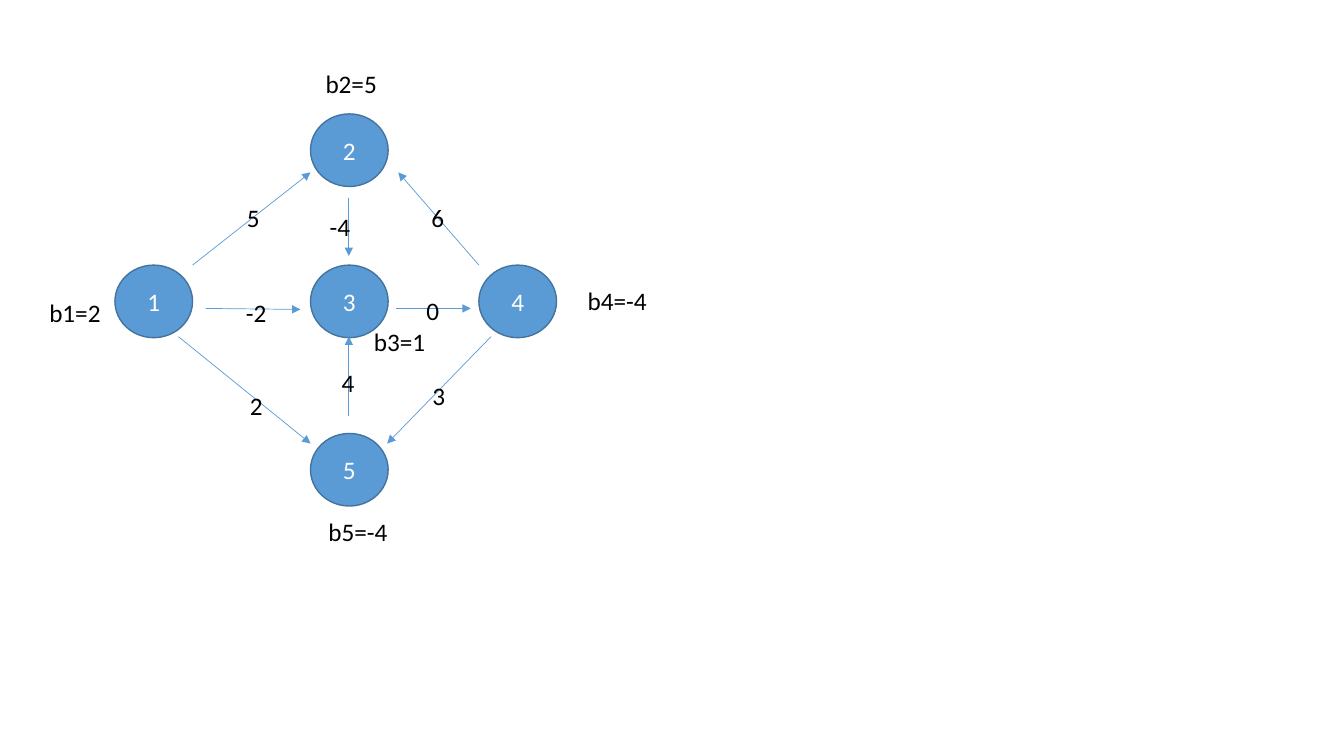
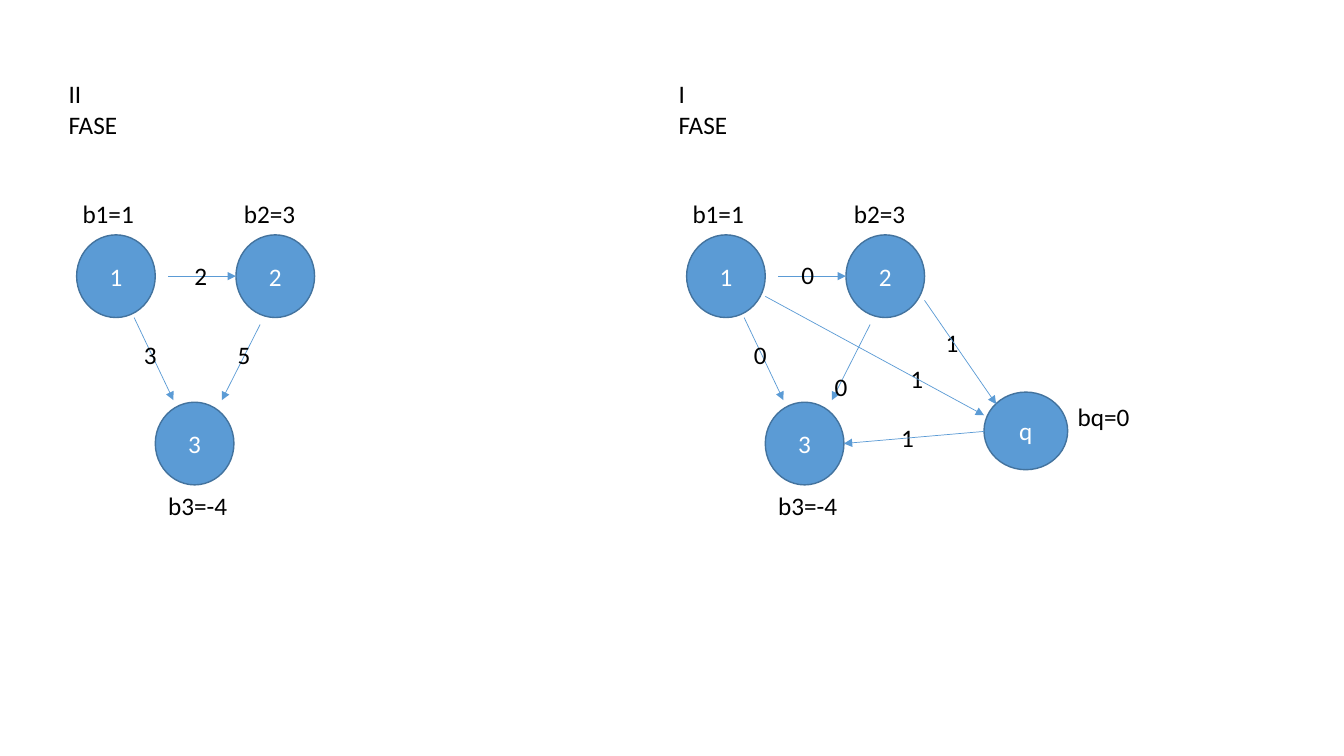
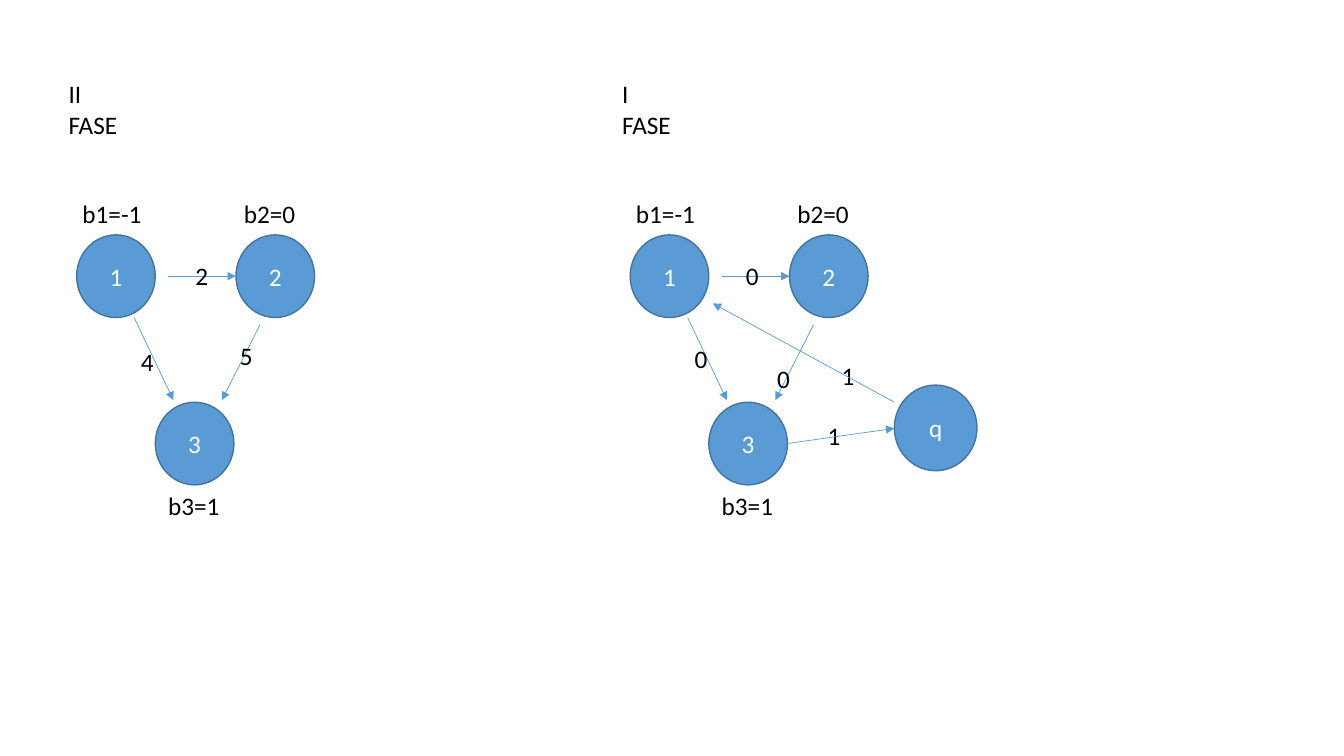
from dataclasses import dataclass

from lxml.etree import SubElement
from pptx import Presentation
from pptx.dml.color import RGBColor
from pptx.enum.shapes import MSO_CONNECTOR, MSO_SHAPE
from pptx.enum.text import MSO_ANCHOR, MSO_AUTO_SIZE, PP_ALIGN
from pptx.oxml.ns import qn
from pptx.util import Inches, Pt


@dataclass(frozen=True)
class Theme:
    """Colours, type, line widths and the grid step shared by all slides."""
    node: RGBColor = RGBColor(0x5B, 0x9B, 0xD5)
    rim: RGBColor = RGBColor(0x43, 0x73, 0x9E)
    ink: RGBColor = RGBColor(0, 0, 0)
    paper: RGBColor = RGBColor(0xFF, 0xFF, 0xFF)
    font: str = "Calibri"
    size: Pt = Pt(18)
    rim_width: Pt = Pt(1)
    arc_width: Pt = Pt(0.5)
    step: float = 0.1
    label_height: float = 4
    padding: float = 2
    glyph: float = 1.3


GLYPHS = {"-": 0.8, "I": 0.6, " ": 0.6, "F": 1.1, "S": 1.1, "E": 1.2}
COMPARISON, BLANK = 4, 6
HEADING_SLOTS = (1, 3)


class GraphDeck:
    """Draws graphs on the current slide, in columns and rows of the grid."""

    def __init__(self, theme):
        self.theme = theme
        self.deck = Presentation()
        self.deck.slide_width, self.deck.slide_height = Inches(13.33), Inches(7.5)
        self.slide = None

    def grid(self, *lengths):
        """Turn grid lengths into slide lengths."""
        return [Inches(length * self.theme.step) for length in lengths]

    def set_text(self, frame, text, color, align=PP_ALIGN.LEFT, anchor=MSO_ANCHOR.TOP):
        """Fill a text frame in the deck's type."""
        frame.text = text
        frame.vertical_anchor = anchor
        line = frame.paragraphs[0]
        line.alignment, line.space_before = align, Pt(0)
        font = line.runs[0].font
        font.name, font.size, font.bold = self.theme.font, self.theme.size, False
        font.color.rgb = color

    def label_box(self, text, left, top):
        """Return the box that fits a one-line label."""
        width = self.theme.padding + sum(GLYPHS.get(c, self.theme.glyph) for c in text)
        return self.grid(left, top, width, self.theme.label_height)

    def fit(self, holder, text):
        """Set a label that keeps to one line."""
        self.set_text(holder.text_frame, text, self.theme.ink)
        holder.text_frame.word_wrap = False
        holder.text_frame.auto_size = MSO_AUTO_SIZE.SHAPE_TO_FIT_TEXT

    def graph_slide(self):
        """Start a slide with a single graph."""
        self.slide = self.deck.slides.add_slide(self.deck.slide_layouts[BLANK])

    def phase_slide(self, headings):
        """Start a slide that compares two phases under their headings."""
        self.slide = self.deck.slides.add_slide(self.deck.slide_layouts[COMPARISON])
        slots = {slot.placeholder_format.idx: slot for slot in self.slide.placeholders}
        for idx, (text, left, top) in zip(HEADING_SLOTS, headings):
            heading = slots.pop(idx)
            heading.left, heading.top, heading.width, heading.height = \
                self.label_box(text, left, top)
            self.fit(heading, text)
        for unused in slots.values():
            unused.element.getparent().remove(unused.element)

    def label(self, text, left, top):
        """Add a balance or an arc weight."""
        self.fit(self.slide.shapes.add_textbox(*self.label_box(text, left, top)), text)

    def node(self, name, left, top, width, height):
        """Add a named node."""
        oval = self.slide.shapes.add_shape(
            MSO_SHAPE.OVAL, *self.grid(left, top, width, height))
        oval.shadow.inherit = False
        oval.fill.solid()
        oval.fill.fore_color.rgb = self.theme.node
        oval.line.color.rgb = self.theme.rim
        oval.line.width = self.theme.rim_width
        self.set_text(oval.text_frame, name, self.theme.paper,
                      PP_ALIGN.CENTER, MSO_ANCHOR.MIDDLE)

    def arc(self, *ends):
        """Add an arrow from one point to another."""
        arrow = self.slide.shapes.add_connector(MSO_CONNECTOR.STRAIGHT, *self.grid(*ends))
        arrow.line.color.rgb = self.theme.node
        arrow.line.width = self.theme.arc_width
        outline = arrow.element.spPr.find(qn("a:ln"))
        SubElement(outline, qn("a:tailEnd"), type="triangle")
        SubElement(arrow.element.spPr, qn("a:effectLst"))

    def graph(self, nodes, arcs, labels, size, shift=0):
        """Add nodes, arcs and labels, all moved right by the shift."""
        for name, left, top in nodes:
            self.node(name, left + shift, top, *size)
        for x1, y1, x2, y2 in arcs:
            self.arc(x1 + shift, y1, x2 + shift, y2)
        for text, left, top in labels:
            self.label(text, left + shift, top)

    def triangle(self, balances, weights, shift=0):
        """Add the three-node graph with its balances and arc weights."""
        spots = ((7.2, 19.2), (23.2, 19.2), (15.7, 48.2))
        labels = [(f"b{number}={balance}", *spot)
                  for number, (balance, spot) in enumerate(zip(balances, spots), 1)]
        self.graph(
            [("1", 7.6, 23.3), ("2", 23.4, 23.3), ("3", 15.4, 39.9)],
            [(16.7, 27.4, 23.4, 27.4), (13.3, 31.5, 17.2, 39.7), (25.8, 32.2, 22, 39.7)],
            labels, (7.8, 8.2), shift)
        for weight in weights:
            self.label(*weight)


def network(deck):
    """Draw the five-node network."""
    deck.graph_slide()
    deck.graph(
        [("1", 11.4, 26.3), ("5", 30.8, 43), ("3", 30.8, 26.3),
         ("2", 30.8, 11.3), ("4", 47.5, 26.3)],
        [(19.1, 26.3, 30.8, 17.1), (20.4, 30.6, 29.8, 30.7), (17.7, 33.4, 30.8, 44),
         (34.6, 19.6, 34.6, 25.4), (39.3, 30.6, 46.7, 30.6), (47.5, 26.3, 39.5, 17.1),
         (48.7, 33.4, 38.4, 44), (34.6, 41.3, 34.6, 33.4)],
        [("5", 23.5, 19.6), ("-2", 23.4, 29), ("2", 23.8, 38.2), ("-4", 31.7, 20.5),
         ("0", 41.3, 28.8), ("6", 41.8, 19.6), ("3", 41.9, 37.2), ("4", 32.9, 35.9),
         ("b1=2", 3.9, 29), ("b5=-4", 31.6, 50.7), ("b3=1", 36.1, 31.9),
         ("b2=5", 31.3, 6.3), ("b4=-4", 57.3, 27.8)],
        (7.7, 7.2))


def phases(deck, balances, shift, second, first, root, root_size, root_arcs):
    """Draw the second phase beside the first, which has the root q."""
    deck.phase_slide([("II FASE", 5.8, 7.3), ("I FASE", 5.8 + shift, 7.3)])
    deck.triangle(balances, second)
    deck.triangle(balances, first, shift)
    deck.graph([("q", *root)], root_arcs, [], root_size)


def main():
    """Build and save the deck."""
    deck = GraphDeck(Theme())
    network(deck)
    phases(deck, (1, 3, -4), 60.5,
           second=[("2", 18.3, 25.3), ("3", 13.3, 33.2), ("5", 22.6, 33.2)],
           first=[("0", 73.8, 33.2), ("0", 78.5, 25.2), ("0", 81.8, 36.3),
                  ("1", 89.3, 35.6), ("1", 92.8, 32), ("1", 88.4, 41.4),
                  ("bq=0", 105.9, 39.3)],
           root=(97.6, 38.9), root_size=(8.3, 7.7),
           root_arcs=[(75.9, 29.4, 97.6, 41.2), (91.7, 29.8, 98.8, 40.1),
                      (97.6, 42.8, 83.7, 44)])
    phases(deck, (-1, 0, 1), 54.9,
           second=[("2", 18.4, 25.3), ("4", 13, 33.9), ("5", 22.8, 33.3)],
           first=[("0", 67.9, 33.6), ("1", 82.5, 35.3), ("0", 76.1, 35.6),
                  ("1", 81.1, 41.2), ("0", 73, 25.3)],
           root=(88.7, 38.2), root_size=(8.2, 8.5),
           root_arcs=[(88.7, 39.9, 70.7, 30.1), (78.1, 44, 88.7, 42.5)])
    deck.deck.save("out.pptx")


if __name__ == "__main__":
    main()
